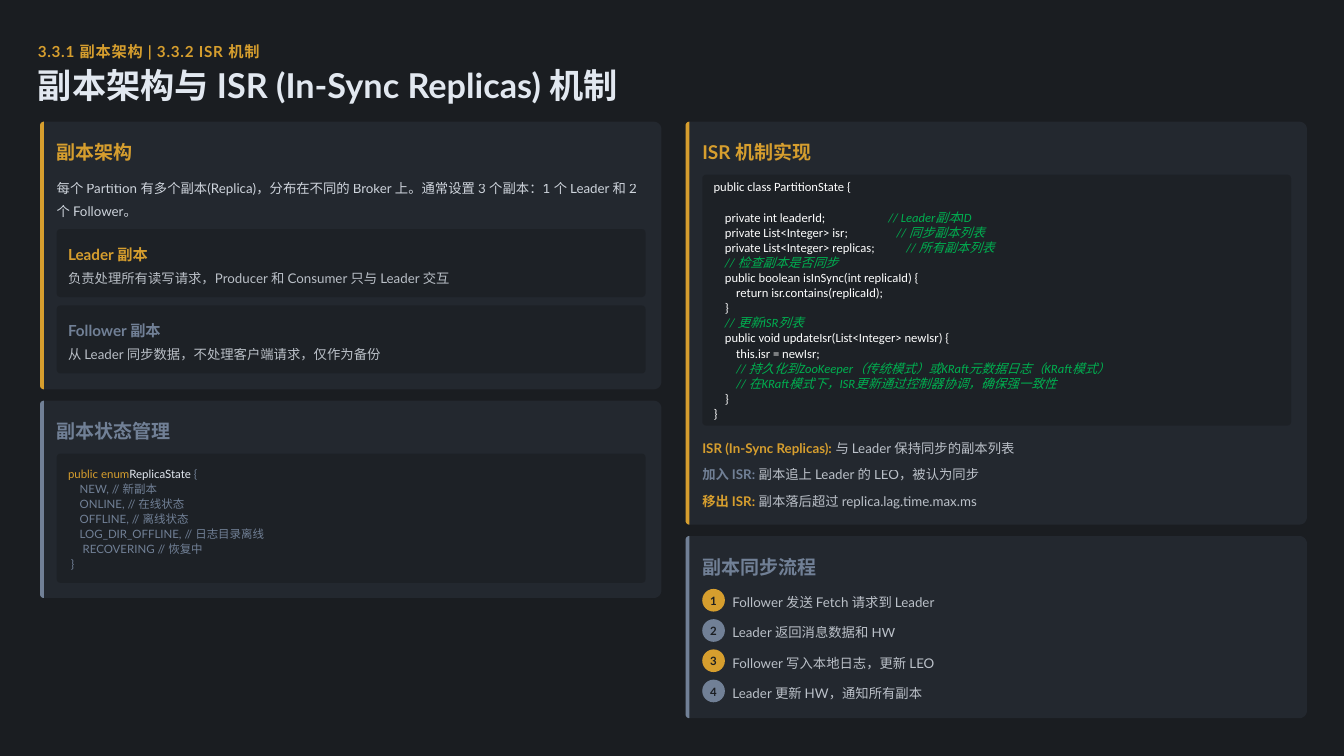
from math import cos, pi, sin

from lxml import etree
from pptx import Presentation
from pptx import util as u
from pptx.dml.color import RGBColor
from pptx.enum import shapes, text
from pptx.oxml.ns import qn

GOLD = RGBColor(0xD6, 0x9E, 0x2E)
SLATE = RGBColor(0x71, 0x80, 0x96)
LIGHT = RGBColor(0xE2, 0xE8, 0xF0)
WHITE = RGBColor(0xFF, 0xFF, 0xFF)
GREEN = RGBColor(0x00, 0xB0, 0x50)
DARK = RGBColor(0x1A, 0x1D, 0x21)
GREY = RGBColor(0x4A, 0x55, 0x68)

# Content
KICKER = "3.3.1 副本架构 | 3.3.2 ISR 机制"
TITLE = "副本架构与 ISR (In-Sync Replicas) 机制"
INTRO = ("每个 Partition 有多个副本(Replica)，分布在不同的 Broker 上。"
         "通常设置 3 个副本：1 个 Leader 和 2 个 Follower。")
ROLES = [
    ("Leader 副本", GOLD, "负责处理所有读写请求，Producer 和 Consumer 只与 Leader 交互"),
    ("Follower 副本", SLATE, "从 Leader 同步数据，不处理客户端请求，仅作为备份"),
]
STATES = """    NEW, // 新副本
    ONLINE, // 在线状态
    OFFLINE, // 离线状态
    LOG_DIR_OFFLINE, // 日志目录离线
     RECOVERING // 恢复中
 }""".split("\n")
CODE = """public class PartitionState {

    private int leaderId;                      // Leader副本ID
    private List<Integer> isr;                 // 同步副本列表
    private List<Integer> replicas;           // 所有副本列表
    // 检查副本是否同步
    public boolean isInSync(int replicaId) {
        return isr.contains(replicaId);
    }
    // 更新ISR列表
    public void updateIsr(List<Integer> newIsr) {
        this.isr = newIsr;
        // 持久化到ZooKeeper（传统模式）或KRaft元数据日志（KRaft模式）
        // 在KRaft模式下，ISR更新通过控制器协调，确保强一致性
    }
}""".split("\n")
TERMS = [
    ("ISR (In-Sync Replicas):", GOLD, " 与 Leader 保持同步的副本列表"),
    ("加入 ISR:", SLATE, " 副本追上 Leader 的 LEO，被认为同步"),
    ("移出 ISR:", GOLD, " 副本落后超过 replica.lag.time.max.ms"),
]
STEPS = ["Follower 发送 Fetch 请求到 Leader", "Leader 返回消息数据和 HW",
         "Follower 写入本地日志，更新 LEO", "Leader 更新 HW，通知所有副本"]
# Columns of cards: heading, colour, height
COLUMNS = [
    [("副本架构", GOLD, 3.54), ("副本状态管理", SLATE, 2.61)],
    [("ISR 机制实现", GOLD, 5.33), ("副本同步流程", SLATE, 2.41)],
]

# Grid
LEFT, TOP, CARD, GUTTER, GAP = 0.53, 1.61, 8.22, 0.32, 0.15
PAD, HEAD, INNER, INSET = 0.22, 0.2, 7.79, 0.15

prs = Presentation()
prs.slide_width, prs.slide_height = u.Inches(17.78), u.Inches(10)
slide = prs.slides.add_slide(prs.slide_layouts[5])
slide.background.fill.solid()
slide.background.fill.fore_color.rgb = DARK


def paint(fill, colour, alpha=100):
    fill.solid()
    fill.fore_color.rgb = colour
    if alpha < 100:
        for node in fill._xPr.iter(qn("a:srgbClr")):
            etree.SubElement(node, qn("a:alpha")).set("val", str(alpha * 1000))


def finish(shape, colour, alpha=100):
    shape.shadow.inherit = False
    shape.line.fill.background()
    paint(shape.fill, colour, alpha)


def write(paras, at=None, shape=None, size=12.7, font="Lato", colour=LIGHT,
          alpha=100, bold=False, italic=False, space=1.2, track=0, align="LEFT"):
    """Paragraphs are strings or lists of (text, overrides) runs."""
    shape = shape or slide.shapes.add_textbox(*map(u.Inches, at))
    if at:
        shape.left, shape.top, shape.width, shape.height = map(u.Inches, at)
    frame = shape.text_frame
    frame.word_wrap, frame.auto_size = True, text.MSO_AUTO_SIZE.NONE
    frame.vertical_anchor = text.MSO_ANCHOR.MIDDLE
    frame.margin_left = frame.margin_right = frame.margin_top = frame.margin_bottom = 0
    for i, para in enumerate([paras] if isinstance(paras, str) else paras):
        p = frame.add_paragraph() if i else frame.paragraphs[0]
        p.alignment, p.line_spacing = text.PP_ALIGN[align], space
        if not para:
            p._p.get_or_add_endParaRPr().set("sz", str(int(size * 100)))
            continue
        for words, own in [(para, {})] if isinstance(para, str) else para:
            run = p.add_run()
            run.text = words
            run.font.size, run.font.name = u.Pt(size), font
            run.font.bold = own.get("bold", bold)
            run.font.italic = own.get("italic", italic)
            paint(run.font.fill, own.get("colour", colour), own.get("alpha", alpha))
            if track:
                run._r.get_or_add_rPr().set("spc", str(int(track * 100)))


def panel(x, y, w, h, near, far, colour, alpha=100):
    """Outline with corner radius near on the left side and far on the right."""
    corners = [(x + w - far, y + far, far, -90), (x + w - far, y + h - far, far, 0),
               (x + near, y + h - near, near, 90), (x + near, y + near, near, 180)]
    dots = []
    for cx, cy, r, start in corners:
        for turn in range(0, 91 if r else 1, 15):
            a = (start + turn) * pi / 180
            dots.append((u.Inches(cx + r * cos(a)), u.Inches(cy + r * sin(a))))
    pen = slide.shapes.build_freeform(*dots[0], scale=1.0)
    pen.add_line_segments(dots[1:], close=True)
    finish(pen.convert_to_shape(), colour, alpha)


def well(x, y, h):
    box = slide.shapes.add_shape(shapes.MSO_SHAPE.ROUNDED_RECTANGLE,
                                 *map(u.Inches, (x, y, INNER, h)))
    box.adjustments[0] = 0.05 / h
    finish(box, DARK, 60)


def code(line):
    lead, mark, note = line.partition("//")
    runs = [(lead, {})] if lead else []
    return runs + ([(mark + note, dict(colour=GREEN, italic=True))] if mark else [])


# Header
write(KICKER, (0.5, 0.5, 16.87, 0.3), size=14.5, colour=GOLD, bold=True,
      space=1.3, track=0.7)
write(TITLE, (0.5, 0.9, 17, 0.5), slide.shapes.title, size=32.6, bold=True, space=0.9)

# Cards with accent bars and headings
spots = []
for col, cards in enumerate(COLUMNS):
    x, y = LEFT + col * (CARD + GUTTER), TOP
    for name, colour, h in cards:
        panel(x, y, CARD, h, 0.05, 0.1, GREY, 20)
        panel(x, y, 0.05, h, 0.05, 0, colour)
        write(name, (x + PAD, y + HEAD, 7.92, 0.35), size=18.1, colour=colour, bold=True)
        spots.append((x + PAD, y + 0.7))
        y += h + GAP
arch, state, isr, sync = spots

# Replica roles
x, y = arch
write(INTRO, (x, y, 7.88, 0.58), alpha=90, space=1.4)
for i, (name, colour, note) in enumerate(ROLES):
    top = y + 0.72 + i * 1.01
    well(x, top, 0.9)
    write(name, (x + INSET, top + INSET, 7.59, 0.3), size=14.5, colour=colour,
          bold=True, space=1.3)
    write(note, (x + INSET, top + 0.5, 7.58, 0.25), alpha=80)

# Replica states
x, y = state
well(x, y, 1.71)
opening = [("public enum", dict(colour=GOLD)), ("ReplicaState", dict(colour=LIGHT)), (" {", {})]
write([opening] + STATES, (x + INSET, y + INSET, 7.56, 1.41), size=10.9,
      colour=SLATE, space=1.1)

# ISR code and terms
x, y = isr
well(x, y, 3.32)
write([code(line) for line in CODE], (x + INSET, y + INSET, 7.56, 3.02), size=12,
      font="Calibri", colour=WHITE, space=1.0)
for i, (term, colour, note) in enumerate(TERMS):
    write([[(term, dict(colour=colour, bold=True)), (note, dict(alpha=80))]],
          (x, y + 3.47 + i * 0.35, 7.88, 0.25))

# Sync steps
x, y = sync
for i, step in enumerate(STEPS):
    top = y + i * 0.4
    dot = slide.shapes.add_shape(shapes.MSO_SHAPE.OVAL, *map(u.Inches, (x, top, 0.3, 0.3)))
    finish(dot, SLATE if i % 2 else GOLD)
    write(str(i + 1), shape=dot, size=10.9, colour=DARK, bold=True, space=1.1, align="CENTER")
    write(step, (x + 0.4, top + 0.03, 2.9, 0.25), alpha=80)

prs.save("out.pptx")
